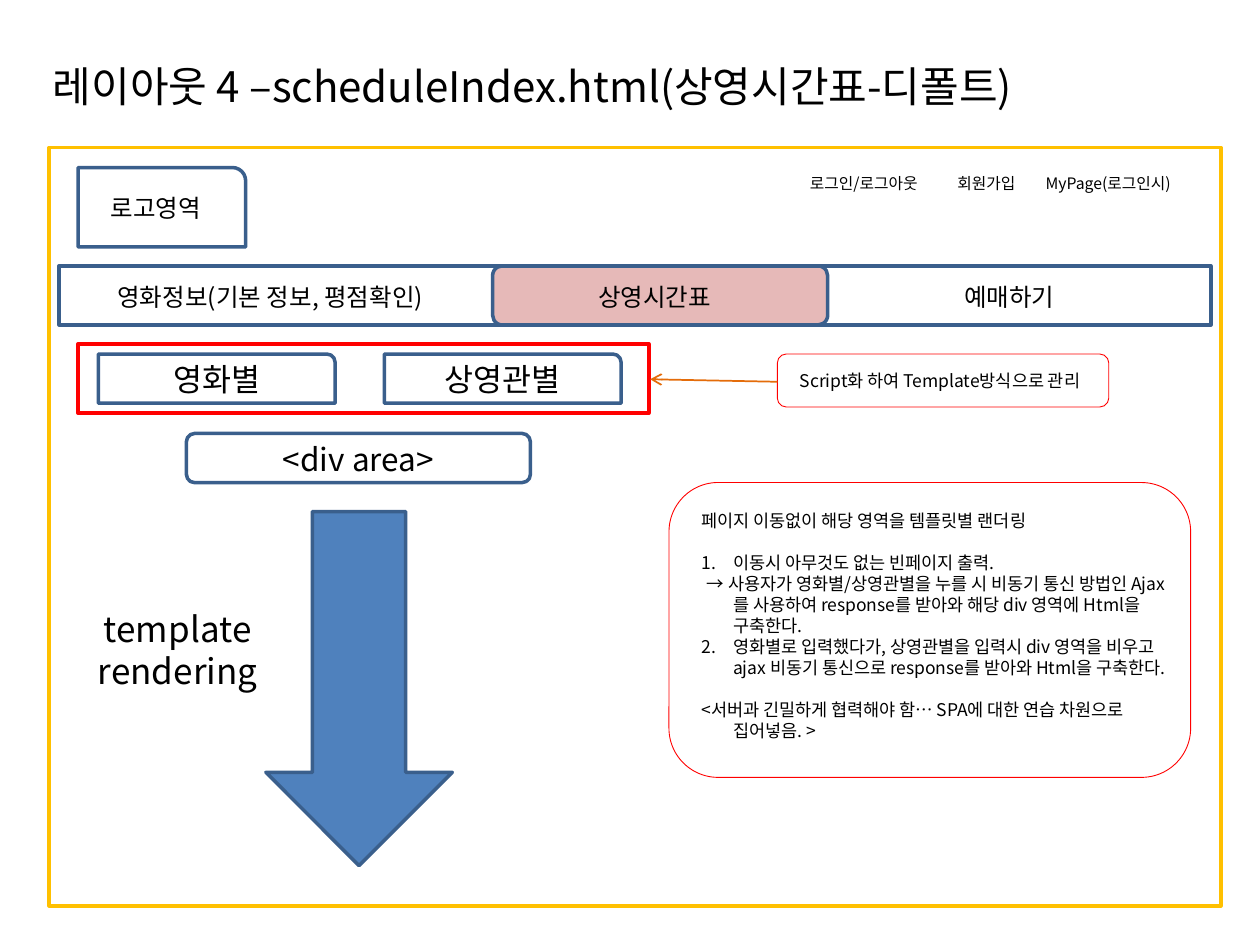
import pptx
import pptx.util
import pptx.dml.color
import pptx.enum.shapes
import pptx.enum.text
import pptx.oxml
import pptx.oxml.ns
from lxml import etree

Inches = pptx.util.Inches
Pt = pptx.util.Pt
RGBColor = pptx.dml.color.RGBColor
SHAPE = pptx.enum.shapes.MSO_SHAPE
ALIGN = pptx.enum.text.PP_ALIGN
ANCHOR = pptx.enum.text.MSO_ANCHOR
qn = pptx.oxml.ns.qn

FONT = "Noto Sans CJK KR"
BLACK = RGBColor(0x00, 0x00, 0x00)
NAVY = RGBColor(0x3A, 0x5F, 0x8C)
BLUE = RGBColor(0x4F, 0x81, 0xBD)
PINK = RGBColor(0xE6, 0xB9, 0xB8)
GOLD = RGBColor(0xFF, 0xC0, 0x00)
RED = RGBColor(0xFF, 0x00, 0x00)
ORANGE = RGBColor(0xE4, 0x6C, 0x0A)

# Rule notes: text, number, first-line indent in inches, blank lines before
NOTES = [
    ("페이지 이동없이 해당 영역을 템플릿별 랜더링", None, 0, 0),
    ("이동시 아무것도 없는 빈페이지 출력.", 1, -0.25, 1),
    ("→ 사용자가 영화별/상영관별을 누를 시 비동기 통신 방법인 "
     "Ajax를 사용하여 response를 받아와 해당 div 영역에 Html을 구축한다.", None, -0.21, 0),
    ("영화별로 입력했다가, 상영관별을 입력시 div 영역을 비우고 "
     "ajax 비동기 통신으로 response를 받아와 Html을 구축한다.", 2, -0.25, 0),
    ("<서버과 긴밀하게 협력해야 함… SPA에 대한 연습 차원으로 집어넣음. >", None, -0.25, 1),
]


def add_box(slide, kind, left, top, width, height, line=NAVY, weight=2, fill=None):
    shape = slide.shapes.add_shape(
        kind, Inches(left), Inches(top), Inches(width), Inches(height))
    shape.shadow.inherit = False
    if fill is None:
        shape.fill.background()
    else:
        shape.fill.solid()
        shape.fill.fore_color.rgb = fill
    shape.line.color.rgb = line
    shape.line.width = Pt(weight)
    return shape


def style_paragraph(paragraph, size, align):
    paragraph.alignment = align
    paragraph.line_spacing = Pt(1.2 * size)
    paragraph.font.size = Pt(size)
    paragraph.font.name = FONT
    paragraph.font.color.rgb = BLACK
    for run in paragraph.runs:
        east_asian = etree.SubElement(run.font._element, qn("a:ea"))
        east_asian.set("typeface", FONT)


def add_text(slide, lines, left, top, width, height, size, align=ALIGN.CENTER):
    box = slide.shapes.add_textbox(
        Inches(left), Inches(top), Inches(width), Inches(height))
    frame = box.text_frame
    frame.word_wrap = True
    for index, line in enumerate(lines):
        paragraph = frame.paragraphs[0] if index == 0 else frame.add_paragraph()
        paragraph.add_run().text = line
        style_paragraph(paragraph, size, align)
    return box


def add_notes(slide, left, top, width, height, size):
    box = add_text(slide, [note[0] for note in NOTES],
                   left, top, width, height, size, ALIGN.LEFT)
    for paragraph, (_, number, indent, gap) in zip(box.text_frame.paragraphs, NOTES):
        if gap:
            paragraph.space_before = Pt(1.2 * size * gap)
        properties = paragraph._p.get_or_add_pPr()
        if indent:
            properties.set("marL", str(Inches(0.25)))
            properties.set("indent", str(Inches(indent)))
        if number:
            bullet = pptx.oxml.parse_xml(
                '<a:buAutoNum xmlns:a="http://schemas.openxmlformats.org/drawingml/2006/main"'
                f' type="arabicPeriod" startAt="{number}"/>')
            properties.find(qn("a:defRPr")).addprevious(bullet)


def add_arrow(slide, start, end):
    connector = slide.shapes.add_connector(
        pptx.enum.shapes.MSO_CONNECTOR.STRAIGHT,
        *(Inches(value) for value in start + end))
    connector.line.color.rgb = ORANGE
    connector.line.width = Pt(1)
    etree.SubElement(connector.line._get_or_add_ln(), qn("a:tailEnd")).set("type", "arrow")
    etree.SubElement(connector._element.spPr, qn("a:effectLst"))


def main():
    presentation = pptx.Presentation()
    presentation.slide_width = Inches(10)
    presentation.slide_height = Inches(7.5)
    slide = presentation.slides.add_slide(presentation.slide_layouts[6])

    # Highlighted menu item, title and page frame
    add_box(slide, SHAPE.ROUNDED_RECTANGLE, 3.91, 2.11, 2.66, 0.47, fill=PINK)
    title = add_text(slide, ["레이아웃 4 –scheduleIndex.html(상영시간표-디폴트)"],
                     0.22, 0.19, 9.47, 0.98, 24, ALIGN.LEFT)
    title.text_frame.margin_left = Inches(0.2)
    title.text_frame.vertical_anchor = ANCHOR.MIDDLE
    add_box(slide, SHAPE.RECTANGLE, 0.39, 1.17, 9.3, 6.02, GOLD)

    # Account links
    for text, left, width in [("로그인/로그아웃", 6.33, 1.17),
                              ("회원가입", 7.5, 1.17),
                              ("MyPage(로그인시)", 8.2, 1.25)]:
        add_text(slide, [text], left, 1.33, width, 0.25, 9, ALIGN.LEFT)

    # Logo area
    add_box(slide, SHAPE.ROUND_1_RECTANGLE, 0.62, 1.33, 1.33, 0.63)
    add_text(slide, ["로고영역"], 0.78, 1.48, 1.17, 0.34, 14, ALIGN.LEFT)

    # Menu bar
    add_box(slide, SHAPE.RECTANGLE, 0.47, 2.11, 9.14, 0.47)
    for text, left, width in [("상영시간표", 4.14, 2.11),
                              ("예매하기", 7.19, 1.64),
                              ("영화정보(기본 정보, 평점확인)", 0.62, 3.05)]:
        add_text(slide, [text], left, 2.19, width, 0.34, 14)

    # Tabs and the div area
    for kind, text, left, top, width in [
            (SHAPE.ROUND_1_RECTANGLE, "영화별", 0.78, 2.81, 1.88),
            (SHAPE.ROUND_1_RECTANGLE, "상영관별", 3.05, 2.81, 1.88),
            (SHAPE.ROUNDED_RECTANGLE, "<div area>", 1.48, 3.44, 2.73)]:
        add_box(slide, kind, left, top, width, 0.39)
        add_text(slide, [text], left, top, width, 0.4, 18)

    # Rule notes, starting one line below the top of their frame
    add_box(slide, SHAPE.ROUNDED_RECTANGLE, 5.31, 3.83, 4.14, 2.34, RED, 0.5)
    add_notes(slide, 5.47, 4, 3.98, 2.12, 10)

    # Rendering arrow
    add_box(slide, SHAPE.DOWN_ARROW, 2.11, 4.06, 1.48, 2.81, fill=BLUE)
    add_text(slide, ["template", "rendering"], 0.55, 4.77, 1.72, 0.77, 20)

    # Script remark pointing at the tabs
    add_box(slide, SHAPE.ROUNDED_RECTANGLE, 6.17, 2.81, 2.63, 0.42, RED, 0.5)
    add_text(slide, ["Script화 하여 Template방식으로 관리"], 6.17, 2.89, 2.58, 0.27, 10)
    add_box(slide, SHAPE.RECTANGLE, 0.62, 2.73, 4.53, 0.55, RED)
    add_arrow(slide, (6.17, 3.03), (5.16, 3.01))

    presentation.save("out.pptx")


if __name__ == "__main__":
    main()
